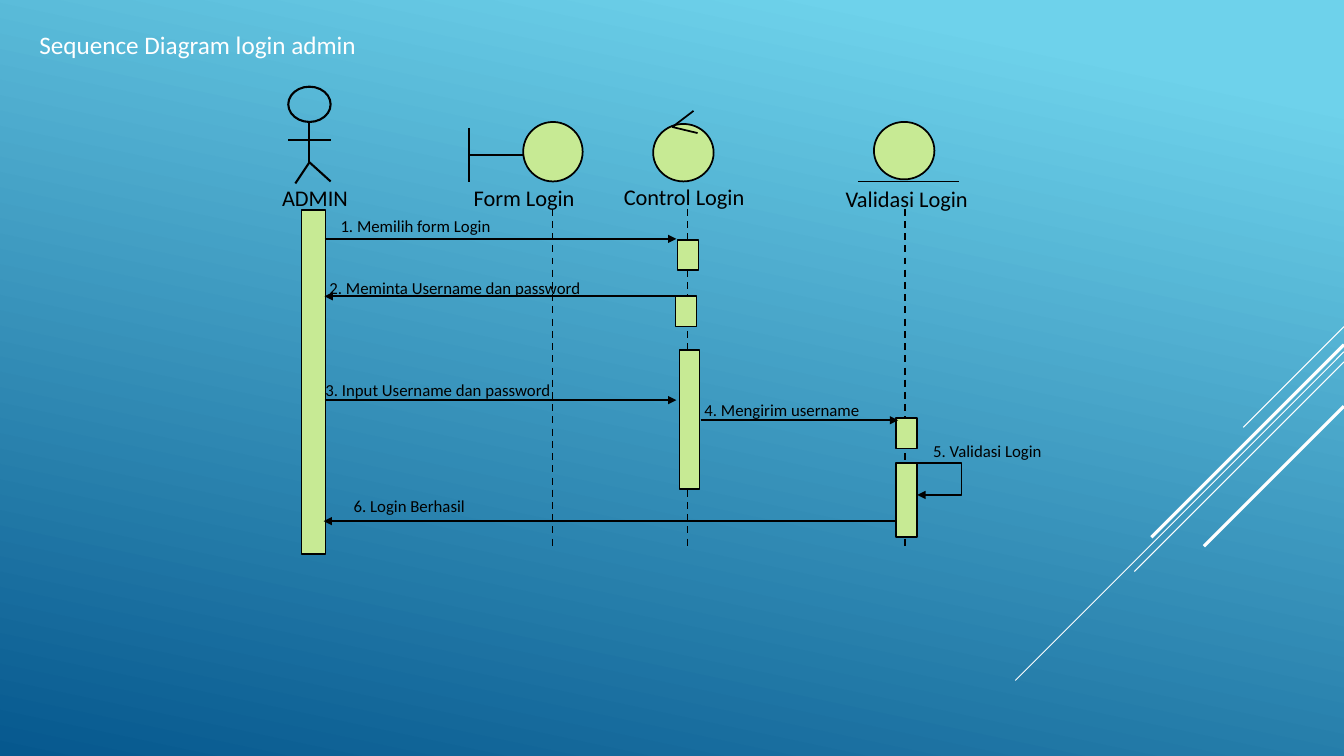
from dataclasses import dataclass

from lxml import etree
from pptx import Presentation
from pptx.dml.color import RGBColor
from pptx.enum.dml import MSO_LINE
from pptx.enum.shapes import MSO_CONNECTOR, MSO_SHAPE
from pptx.enum.text import MSO_ANCHOR, MSO_AUTO_SIZE, PP_ALIGN
from pptx.oxml.ns import qn
from pptx.util import Inches, Pt

STRAIGHT = MSO_CONNECTOR.STRAIGHT
RECTANGLE, OVAL = MSO_SHAPE.RECTANGLE, MSO_SHAPE.OVAL
DASH = MSO_LINE.DASH
TOP, LEFT, NO_FIT = MSO_ANCHOR.TOP, PP_ALIGN.LEFT, MSO_AUTO_SIZE.NONE
CELL = 0.1  # inches per grid column or row


@dataclass(frozen=True)
class Theme:
    """Colours, font and sizes in points."""
    sky: str = "6ED2EB"
    sea: str = "06588E"
    ink: str = "000000"
    light: str = "FFFFFF"
    leaf: str = "C7EA94"
    font: str = "Calibri"
    title: float = 18
    role: float = 16
    message: float = 12
    thin: float = 0.75
    line: float = 1.25
    figure: float = 1.5
    thick: float = 2.25


@dataclass(frozen=True)
class Box:
    """A region of the slide, measured in grid cells."""
    col: float
    row: float
    cols: float
    rows: float

    def point(self, col, row):
        """Turn a cell inside the region into slide lengths."""
        return Inches((self.col + col) * CELL), Inches((self.row + row) * CELL)

    def area(self, col, row, cols, rows):
        """Turn a rectangle of cells into left, top, width and height."""
        return *self.point(col, row), Inches(cols * CELL), Inches(rows * CELL)


THEME = Theme()
SLIDE = Box(0, 0, 133.33, 75)
TITLE = Box(2.9, 2.2, 40, 4.3)
DIAGRAM = Box(27, 8, 82, 48)
STREAKS = Box(100.7, 32.4, 32.63, 35.1)

# Columns of the lifelines and rows where they begin and end
FORM, CONTROL, ENTITY = 27.8, 41.2, 62.8
LIFE_START, LIFE_END = 12.7, 46.4
ADMIN_EDGE, CONTROL_EDGE = 5.2, 40.1

ACTIVATIONS = [
    (2.9, 12.8, 2.4, 34.2),
    (40.2, 15.8, 2.1, 3), (40, 21.4, 2.1, 3), (40.4, 26.7, 2, 13.8),
    (61.9, 33.5, 2.1, 3), (61.9, 37.9, 2.1, 7.4),
]
# Wording, label cell, then start column, end column and row of the arrow
MESSAGES = [
    ("1. Memilih form Login", (5.8, 12.8), (ADMIN_EDGE, CONTROL_EDGE, 15.7)),
    ("2. Meminta Username dan password", (4.7, 18.9), (CONTROL_EDGE, ADMIN_EDGE, 21.4)),
    ("3. Input Username dan password", (4.3, 29.1), (ADMIN_EDGE, CONTROL_EDGE, 31.7)),
    ("4. Mengirim username", (41.9, 31), (42.5, 62.1, 33.7)),
    ("6. Login Berhasil", (7.1, 40.6), (61.8, 5.1, 43.7)),
]
# Start row at the right edge, run in cells and weight of each diagonal
DIAGONALS = [
    (0, 10, THEME.thin), (2.5, 32.6, THEME.thin), (3.5, 20.8, THEME.thin),
    (1.8, 19.1, THEME.thick), (7.9, 13.9, THEME.thick),
]


def assign(target, values):
    """Set attributes from a dict of format values."""
    for name, value in values.items():
        setattr(target, name, value)


def rgb(value):
    """Turn a hex string into a colour."""
    return RGBColor.from_string(value)


def style_line(shape, weight, colour=THEME.ink, dash=None, arrow=False):
    """Format an outline, with an optional dash and end arrow."""
    shape.line.color.rgb = rgb(colour)
    assign(shape.line, {"width": Pt(weight), "dash_style": dash})
    if arrow:
        outline = shape.element.spPr.find(qn("a:ln"))
        etree.SubElement(outline, qn("a:tailEnd"), type="triangle")


def draw_line(page, box, start, end, weight=THEME.line, **look):
    """Join two cells of the box with a straight line."""
    line = page.shapes.add_connector(STRAIGHT, *box.point(*start), *box.point(*end))
    style_line(line, weight, **look)
    etree.SubElement(line.element.spPr, qn("a:effectLst"))


def draw_shape(page, box, kind, area, fill=THEME.leaf, weight=THEME.line):
    """Place an outlined preset shape, hollow when fill is None."""
    shape = page.shapes.add_shape(kind, *box.area(*area))
    shape.shadow.inherit = False
    if fill:
        shape.fill.solid()
        shape.fill.fore_color.rgb = rgb(fill)
    else:
        shape.fill.background()
    style_line(shape, weight)


def draw_path(page, box, cells, arrow=False):
    """Draw an open, unfilled line through several cells."""
    points = [box.point(*cell) for cell in cells]
    builder = page.shapes.build_freeform(*points[0])
    builder.add_line_segments(points[1:], close=False)
    shape = builder.convert_to_shape()
    shape.shadow.inherit = False
    shape.fill.background()
    style_line(shape, THEME.line, arrow=arrow)


def write(frame, words, size, colour=THEME.ink):
    """Write one left-aligned paragraph into a text frame."""
    assign(frame, {"word_wrap": True, "auto_size": NO_FIT, "vertical_anchor": TOP})
    para = frame.paragraphs[0]
    assign(para, {"alignment": LEFT, "line_spacing": 1.06, "space_after": Pt(8)})
    span = para.add_run()
    span.text = words
    assign(span.font, {"name": THEME.font, "size": Pt(size)})
    span.font.color.rgb = rgb(colour)


def draw_label(page, box, words, cell, size=THEME.message):
    """Place a text label with its corner at a cell."""
    label = page.shapes.add_textbox(*box.area(*cell, 32, 4))
    write(label.text_frame, words, size)


def draw_background(page):
    """Fill the page with the sky-to-sea gradient."""
    fill = page.background.fill
    fill.gradient()
    fill.gradient_angle = 258
    for stop, position, colour in zip(fill.gradient_stops, (0.1, 1), (THEME.sky, THEME.sea)):
        stop.position = position
        stop.color.rgb = rgb(colour)


def draw_streaks(page, box):
    """Draw the 45 degree lines that run down from the right edge."""
    for row, run, weight in DIAGONALS:
        draw_line(page, box, (box.cols, row), (box.cols - run, row + run),
                  weight, colour=THEME.light)


def draw_title(page, box):
    """Move the title placeholder into the box and fill it in."""
    title = page.shapes.title
    assign(title, dict(zip(("left", "top", "width", "height"),
                           box.area(0, 0, box.cols, box.rows))))
    write(title.text_frame, "Sequence Diagram login admin", THEME.title, THEME.light)


def draw_roles(page, box):
    """Draw the actor, boundary, control and entity symbols with names."""
    draw_shape(page, box, OVAL, (1.6, 0.6, 4.2, 3.5), None, THEME.figure)
    hip = (3.7, 8.1)
    limbs = [((3.7, 4.2), hip), ((1.6, 5.9), (5.8, 5.9)),
             (hip, (5.8, 10)), (hip, (2.3, 10.2))]
    for start, end in limbs:
        draw_line(page, box, start, end, THEME.figure)
    for area in [(24.9, 4.1, 5.9, 5.9), (37.8, 4.3, 6, 5.7), (59.7, 4.1, 6, 5.7)]:
        draw_shape(page, box, OVAL, area)
    draw_line(page, box, (19.5, 7.4), (24.9, 7.4))
    draw_line(page, box, (19.5, 4.7), (19.5, 10.1))
    draw_path(page, box, [(41.8, 3), (39.7, 4.6), (42.2, 5.2)])
    draw_line(page, box, (58.1, 10), (68.1, 10))
    names = [("ADMIN", (0, 9.6)), ("Form Login", (19, 9.6)),
             ("Control Login", (33.9, 9.5)), ("Validasi Login", (55.9, 9.7))]
    for name, cell in names:
        draw_label(page, box, name, cell, THEME.role)


def draw_sequence(page, box):
    """Draw lifelines, activation bars and messages."""
    for col in (FORM, CONTROL, ENTITY):
        draw_line(page, box, (col, LIFE_START), (col, LIFE_END), dash=DASH)
    for area in ACTIVATIONS:
        draw_shape(page, box, RECTANGLE, area)
    for words, cell, (start, end, row) in MESSAGES:
        draw_line(page, box, (start, row), (end, row), arrow=True)
        draw_label(page, box, words, cell)
    draw_path(page, box, [(63.8, 37.9), (68.4, 37.9), (68.4, 41.1), (64, 41.1)], arrow=True)
    draw_label(page, box, "5. Validasi Login", (64.6, 35.1))


deck = Presentation()
assign(deck, {"slide_width": Inches(SLIDE.cols * CELL), "slide_height": Inches(SLIDE.rows * CELL)})
page = deck.slides.add_slide(deck.slide_layouts[5])
draw_background(page)
draw_streaks(page, STREAKS)
draw_roles(page, DIAGRAM)
draw_sequence(page, DIAGRAM)
draw_title(page, TITLE)
deck.save("out.pptx")
